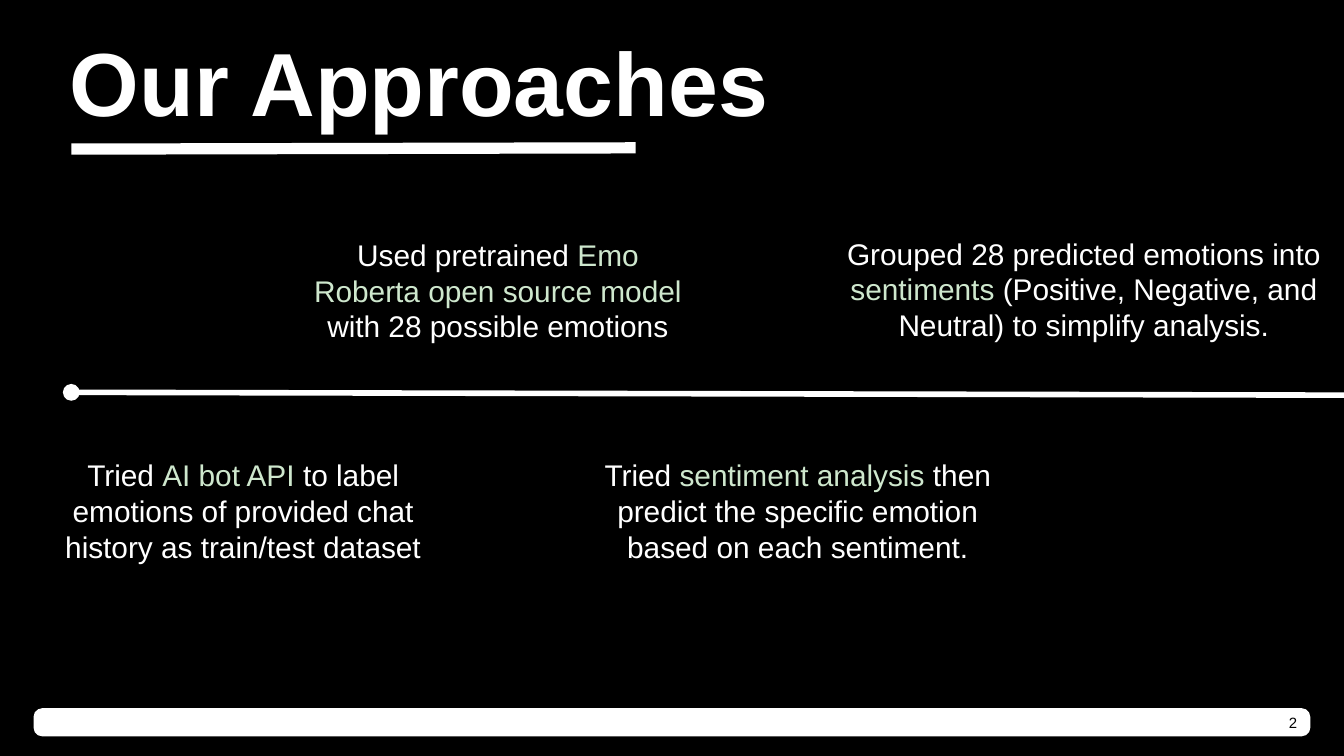
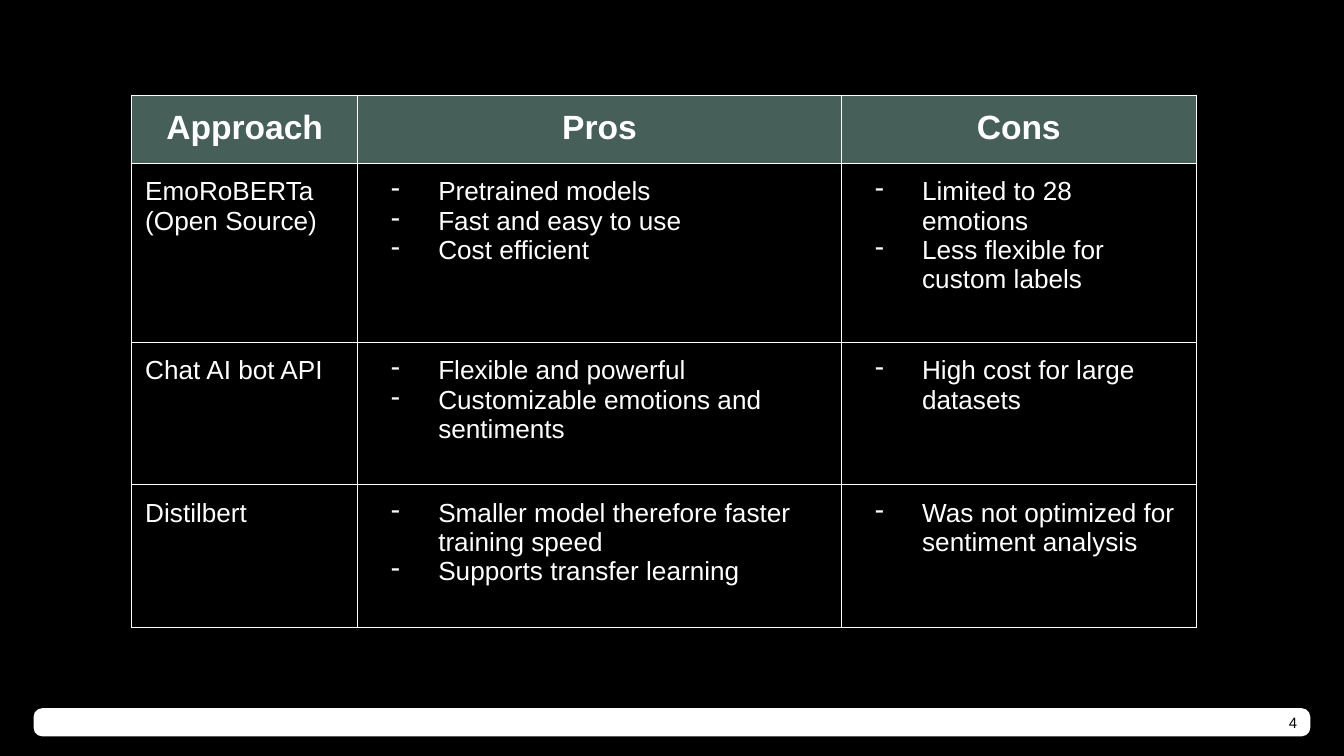
from dataclasses import dataclass

from lxml.etree import SubElement
from pptx import Presentation
from pptx.dml.color import RGBColor
from pptx.enum.shapes import MSO_CONNECTOR as Connector, MSO_SHAPE as Preset
from pptx.enum.text import MSO_ANCHOR as Anchor, MSO_AUTO_SIZE as AutoSize, PP_ALIGN as Align
from pptx.oxml.ns import qn
from pptx.slide import Slide
from pptx.table import _Cell as Cell
from pptx.text.text import TextFrame, _Paragraph as Paragraph, _Run as Run
from pptx.util import Pt

COLORS = {"black": "000000", "white": "FFFFFF", "mint": "CEE7CD", "header": "465F59"}
FONT = "Arial"
INSET = Pt(7.2)
TITLE_ONLY, BLANK = 5, 6


@dataclass
class Step:
    """A timeline note: its middle phrase is highlighted."""
    left: float
    top: float
    width: float
    height: float
    before: str
    highlight: str
    after: str


@dataclass
class Stroke:
    start: tuple[float, float]
    end: tuple[float, float]
    weight: float
    oval_head: bool = False


@dataclass
class Approach:
    name: str
    pros: list[str]
    cons: list[str]
    height: float


STEPS = [
    Step(22.3, 237.6, 216, 72.7, "Tried ", "AI bot API ",
         "to label emotions of provided chat history as train/test dataset"),
    Step(154.8, 119.5, 223.9, 72.7, "Used pretrained ", "Emo Roberta open source model ",
         "with 28 possible emotions"),
    Step(315.4, 237.6, 223.9, 72.7, "Tried ", "sentiment analysis",
         " then predict the specific emotion based on each sentiment."),
    Step(446.4, 118.8, 268.6, 65.5, "Grouped 28 predicted emotions into ", "sentiments ",
         "(Positive, Negative, and Neutral) to simplify analysis."),
]
STROKES = [
    Stroke((38.2, 79.9), (340.5, 79.2), 6),
    Stroke((38.2, 210.2), (720.7, 211.7), 3, oval_head=True),
]
HEADINGS = ["Approach", "Pros", "Cons"]
COLUMN_WIDTHS = [121, 259.2, 190]
HEADER_HEIGHT = 36.7
APPROACHES = [
    Approach("EmoRoBERTa\n(Open Source)",
             ["Pretrained models", "Fast and easy to use", "Cost efficient"],
             ["Limited to 28 emotions", "Less flexible for custom labels"], 95.8),
    Approach("Chat AI bot API",
             ["Flexible and powerful", "Customizable emotions and sentiments"],
             ["High cost for large datasets"], 76.3),
    Approach("Distilbert",
             ["Smaller model therefore faster training speed", "Supports transfer learning"],
             ["Was not optimized for sentiment analysis"], 76.3),
]


# Shared helpers
def rgb(name: str) -> RGBColor:
    return RGBColor.from_string(COLORS[name])


def style_run(run: Run, size: float, color: str = "white", bold: bool = False) -> None:
    run.font.name = FONT
    run.font.size = Pt(size)
    run.font.bold = bold
    run.font.color.rgb = rgb(color)


def style_frame(frame: TextFrame, anchor: Anchor = Anchor.TOP) -> None:
    frame.word_wrap = True
    frame.auto_size = AutoSize.NONE
    frame.vertical_anchor = anchor
    frame.margin_left = frame.margin_right = INSET
    frame.margin_top = frame.margin_bottom = INSET


def add_page(deck: Presentation, layout: int, number: int) -> Slide:
    """Add a black slide with the white footer band and its page number."""
    page = deck.slides.add_slide(deck.slide_layouts[layout])
    page.background.fill.solid()
    page.background.fill.fore_color.rgb = rgb("black")

    top, height = Pt(379.4), Pt(15.1)
    band = page.shapes.add_shape(Preset.ROUNDED_RECTANGLE, Pt(18), top, Pt(684), height)
    band.adjustments[0] = 0.31
    band.shadow.inherit = False
    band.fill.solid()
    band.fill.fore_color.rgb = rgb("white")
    band.line.fill.background()

    box = page.shapes.add_textbox(Pt(636.5), top, Pt(65.5), height)
    style_frame(box.text_frame, Anchor.MIDDLE)
    para = box.text_frame.paragraphs[0]
    para.text = str(number)
    para.alignment = Align.RIGHT
    style_run(para.runs[0], 8, "black")
    return page


# Timeline slide
def set_title(page: Slide, text: str) -> None:
    title = page.shapes.title
    title.left, title.top, title.width, title.height = Pt(30.2), Pt(27.4), Pt(660.2), Pt(46.8)
    style_frame(title.text_frame)
    para = title.text_frame.paragraphs[0]
    para.text = text
    para.alignment = Align.LEFT
    para.line_spacing = 0.6
    style_run(para.runs[0], 48, bold=True)


def add_stroke(page: Slide, stroke: Stroke) -> None:
    line = page.shapes.add_connector(
        Connector.STRAIGHT, *map(Pt, stroke.start), *map(Pt, stroke.end))
    line.line.color.rgb = rgb("white")
    line.line.width = Pt(stroke.weight)
    properties = line._element.spPr
    if stroke.oval_head:
        SubElement(properties.find(qn("a:ln")), qn("a:headEnd"), type="oval")
    SubElement(properties, qn("a:effectLst"))


def add_step(page: Slide, step: Step) -> None:
    box = page.shapes.add_textbox(
        Pt(step.left), Pt(step.top), Pt(step.width), Pt(step.height))
    style_frame(box.text_frame)
    para = box.text_frame.paragraphs[0]
    para.alignment = Align.CENTER
    for text, color in ((step.before, "white"), (step.highlight, "mint"), (step.after, "white")):
        span = para.add_run()
        span.text = text
        style_run(span, 16, color)


# Comparison table slide
def add_dash(para: Paragraph) -> None:
    properties = para._p.get_or_add_pPr()
    properties.set("marL", str(Pt(36)))
    properties.set("indent", str(-Pt(25.2)))
    bullet_color = SubElement(properties, qn("a:buClr"))
    SubElement(bullet_color, qn("a:srgbClr"), val=COLORS["white"])
    SubElement(properties, qn("a:buChar"), char="-")


def add_borders(cell: Cell) -> None:
    properties = cell._tc.get_or_add_tcPr()
    for side in "LRTB":
        line = SubElement(properties, qn(f"a:ln{side}"), w=str(Pt(0.75)))
        fill = SubElement(line, qn("a:solidFill"))
        SubElement(fill, qn("a:srgbClr"), val=COLORS["white"])


def fill_cell(cell: Cell, text: str, header: bool, dashed: bool) -> None:
    cell.margin_left = cell.margin_right = INSET
    cell.margin_top = cell.margin_bottom = INSET
    add_borders(cell)
    if header:
        cell.fill.solid()
        cell.fill.fore_color.rgb = rgb("header")
    else:
        cell.fill.background()
    cell.text_frame.text = text
    for para in cell.text_frame.paragraphs:
        para.alignment = Align.CENTER if header else Align.LEFT
        if dashed:
            add_dash(para)
        style_run(para.runs[0], 18 if header else 14, bold=header)


def add_comparison(page: Slide) -> None:
    rows = [HEADINGS] + [
        [item.name, "\n".join(item.pros), "\n".join(item.cons)] for item in APPROACHES]
    heights = [HEADER_HEIGHT] + [item.height for item in APPROACHES]
    table = page.shapes.add_table(
        len(rows), len(HEADINGS), Pt(70.6), Pt(51),
        Pt(sum(COLUMN_WIDTHS)), Pt(sum(heights))).table
    table.horz_banding = False
    for column, width in zip(table.columns, COLUMN_WIDTHS):
        column.width = Pt(width)
    for row_index, (texts, height) in enumerate(zip(rows, heights)):
        table.rows[row_index].height = Pt(height)
        for column_index, text in enumerate(texts):
            header = row_index == 0
            fill_cell(table.cell(row_index, column_index), text, header,
                      dashed=not header and column_index > 0)


def main() -> None:
    deck = Presentation()
    deck.slide_width, deck.slide_height = Pt(720), Pt(405)

    timeline = add_page(deck, TITLE_ONLY, 2)
    set_title(timeline, "Our Approaches")
    for stroke in STROKES:
        add_stroke(timeline, stroke)
    for step in STEPS:
        add_step(timeline, step)

    add_comparison(add_page(deck, BLANK, 4))
    deck.save("out.pptx")


if __name__ == "__main__":
    main()
